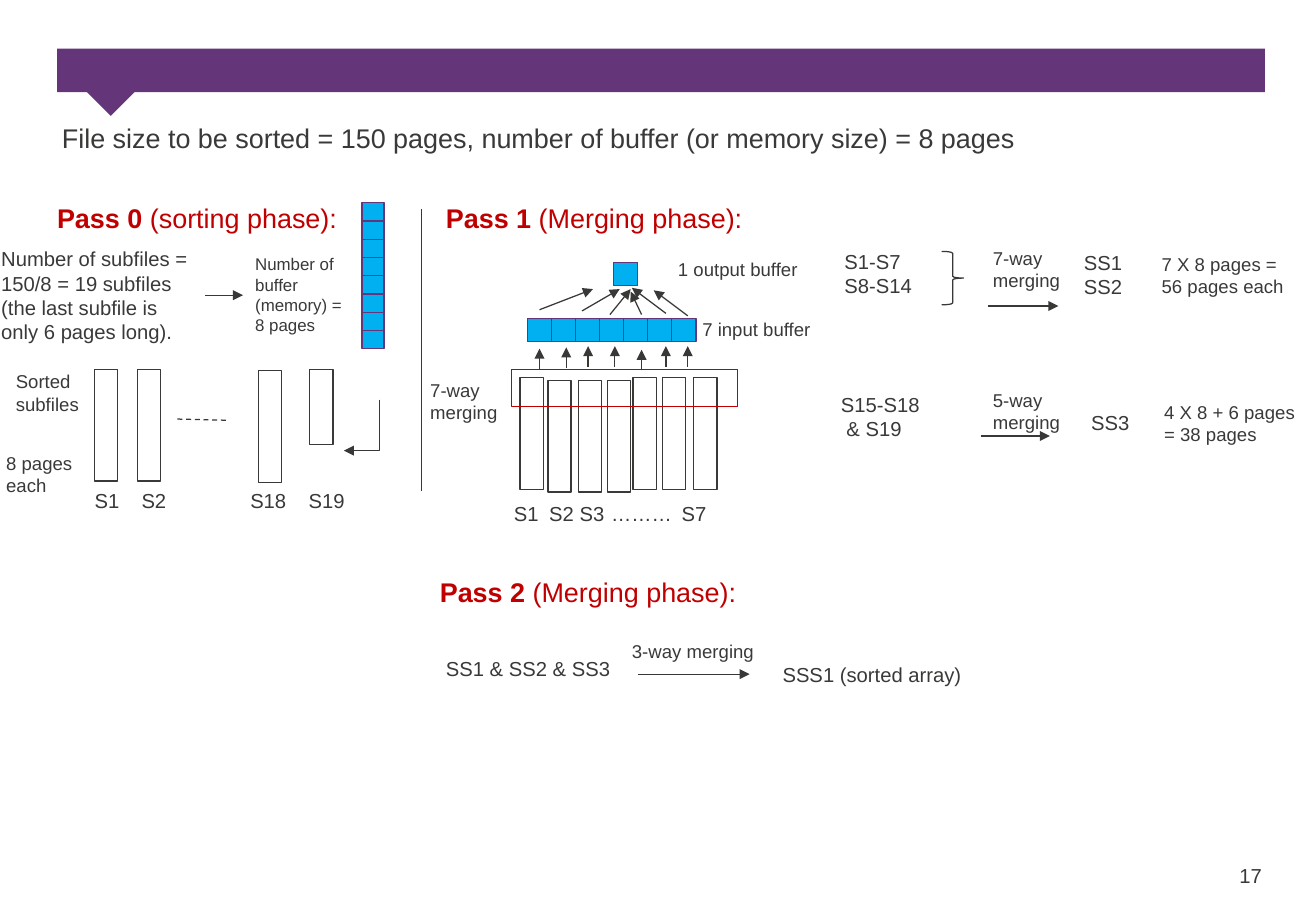
import pptx
import pptx.util
import pptx.dml.color
import pptx.enum.dml
import pptx.enum.shapes
import pptx.oxml.ns
from lxml import etree

CELL = pptx.util.Inches(0.1)
COLUMNS, ROWS = 108.3, 75
PURPLE, BLUE, WHITE = "653579", "00B0F0", "FFFFFF"
RED, INK, LINE = "C00000", "393938", "383837"
SHAPES = pptx.enum.shapes.MSO_SHAPE

LABELS = [
    (0.1, 20.3, 15.8, 12, ["Number of subfiles = 150/8 = 19 subfiles (the last subfile is only 6 pages long)."]),
    (21, 20.9, 7.5, 10, ["Number of buffer (memory) = 8 pages"]),
    (1.3, 30.5, 5.5, 11, ["Sorted subfiles"]),
    (0.5, 37.2, 6.5, 11, ["8 pages each"]),
    (55.8, 21.2, 12, 11, ["1 output buffer"]),
    (57.8, 26.2, 12, 11, ["7 input buffer"]),
    (35.4, 31.2, 6.5, 11, ["7-way merging"]),
    (69.5, 20.5, 8, 12, ["S1-S7", "S8-S14"]),
    (81.7, 20.3, 6.5, 11, ["7-way merging"]),
    (89.2, 20.6, 6, 12, ["SS1", "SS2"]),
    (95.6, 20.8, 10.4, 11, ["7 X 8 pages = 56 pages each"]),
    (69.2, 32.3, 10, 12, ["S15-S18", " & S19"]),
    (81.7, 32, 9.1, 11, ["5-way merging"]),
    (89.8, 33.8, 5, 12, ["SS3"]),
    (95.8, 33, 11.5, 11, ["4 X 8 + 6 pages = 38 pages"]),
    (36.7, 54, 15.6, 12, ["SS1 & SS2 & SS3"]),
    (52, 52.7, 10.9, 11, ["3-way merging"]),
    (64.4, 54.5, 18.6, 12, ["SSS1 (sorted array)"]),
    (5.1, 10, 89.2, 16, ["File size to be sorted = 150 pages, number of buffer (or memory size) = 8 pages"]),
    (102, 71.1, 3, 12, ["17"]),
]
HEADINGS = [
    (4.7, 16.6, "Pass 0", " (sorting phase):"),
    (36.7, 16.6, "Pass 1", " (Merging phase):"),
    (36.2, 47.4, "Pass 2", " (Merging phase):"),
]
SUBFILES = [
    (7.8, 30.4, 9.2), (11.3, 30.4, 9.2), (21.3, 30.5, 9.2), (25.5, 30.4, 6.2),
    (42.8, 31.1, 9.2), (45.1, 31.3, 9.2), (47.6, 31.3, 9.2), (50, 31.3, 9.2),
    (52.1, 31.1, 9.2), (54.5, 31.1, 9.2), (57.1, 31.1, 9.2),
]
INTO_INPUT = [(44.4, 30.4), (46.6, 30.3), (48.4, 30.2), (50.6, 30.2),
              (52.8, 30.5), (54.8, 30.2), (56.6, 30.2)]
INTO_OUTPUT = [
    (44.4, 25.5, 48.8, 23.8), (47.9, 25.6, 51, 23.8), (50.2, 25.9, 51.9, 23.8),
    (52.8, 25.9, 51.9, 24), (54.8, 25.8, 52, 23.7), (56.6, 26, 53.8, 23.9),
]
STEP_ARROWS = [
    (16.9, 24.3, 20, 24.3), (81.3, 25.2, 87.1, 25.2),
    (80.7, 35.9, 86.4, 35.9), (52.5, 55.5, 61.7, 55.5),
]


def cells(*counts):
    return [round(count * CELL) for count in counts]


def colour(value):
    return pptx.dml.color.RGBColor.from_string(value)


def add_text(page, left, top, width, spans, size=12, ink=INK, stops=()):
    lines = len(spans)
    box = page.shapes.add_textbox(*cells(left, top, width, lines * size / 6))
    frame = box.text_frame
    frame.word_wrap = True
    frame.margin_left = frame.margin_right = 0
    frame.margin_top = frame.margin_bottom = 0
    for index, line in enumerate(spans):
        para = frame.add_paragraph() if index else frame.paragraphs[0]
        if stops:
            properties = para._p.get_or_add_pPr()
            tabs = etree.SubElement(properties, pptx.oxml.ns.qn("a:tabLst"))
            for stop in cells(*stops):
                etree.SubElement(tabs, pptx.oxml.ns.qn("a:tab"), pos=str(stop), algn="l")
        for words, bold in line:
            span = para.add_run()
            span.text = words
            span.font.name = "Arial"
            span.font.size = pptx.util.Pt(size)
            span.font.bold = bold
            span.font.color.rgb = colour(ink)


def add_block(page, left, top, width, height, fill=None, line=None, kind=SHAPES.RECTANGLE):
    block = page.shapes.add_shape(kind, *cells(left, top, width, height))
    block.shadow.inherit = False
    if fill:
        block.fill.solid()
        block.fill.fore_color.rgb = colour(fill)
    else:
        block.fill.background()
    if line:
        block.line.color.rgb = colour(line)
        block.line.width = pptx.util.Pt(0.75)
    else:
        block.line.fill.background()
    return block


def style_stroke(stroke, arrow, dashed=False):
    stroke.line.color.rgb = colour(LINE)
    stroke.line.width = pptx.util.Pt(0.75)
    if dashed:
        stroke.line.dash_style = pptx.enum.dml.MSO_LINE.DASH
    if arrow:
        outline = stroke.line._get_or_add_ln()
        etree.SubElement(outline, pptx.oxml.ns.qn("a:tailEnd"), type="triangle")


def add_line(page, *ends, arrow=True, dashed=False):
    straight = pptx.enum.shapes.MSO_CONNECTOR.STRAIGHT
    stroke = page.shapes.add_connector(straight, *cells(*ends))
    style_stroke(stroke, arrow, dashed)
    etree.SubElement(stroke._element.spPr, pptx.oxml.ns.qn("a:effectLst"))


def add_bent_arrow(page, start, *corners):
    builder = page.shapes.build_freeform(*cells(*start))
    builder.add_line_segments([cells(*corner) for corner in corners], close=False)
    stroke = builder.convert_to_shape()
    stroke.fill.background()
    style_stroke(stroke, arrow=True)
    stroke.shadow.inherit = False


def add_banner(page):
    add_block(page, 4.7, 4, 99.4, 3.6, fill=PURPLE)
    pointer = add_block(page, 7.8, 5, 3.2, 4, fill=PURPLE)
    pointer.rotation = 45


def add_buffers(page):
    for slot in range(8):
        add_block(page, 29.8, 16.7 + 1.5 * slot, 1.8, 1.5, BLUE, PURPLE)
    for slot in range(7):
        add_block(page, 43.4 + 1.98 * slot, 26.2, 2, 1.9, BLUE, PURPLE)
    add_block(page, 50.5, 21.6, 2, 1.9, BLUE, PURPLE)


def add_lines(page):
    for ends in INTO_OUTPUT + STEP_ARROWS:
        add_line(page, *ends)
    for column, row in INTO_INPUT:
        add_line(page, column, row, column, row - 1.7)
    add_line(page, 14.6, 34.5, 18.7, 34.6, arrow=False, dashed=True)
    add_line(page, 34.7, 17.2, 34.7, 40.4, arrow=False)
    add_bent_arrow(page, (31.2, 32.9), (31.2, 37.1), (28.3, 37.1))


def add_words(page):
    for left, top, width, size, lines in LABELS:
        add_text(page, left, top, width, [[(line, False)] for line in lines], size=size)
    for left, top, name, phase in HEADINGS:
        add_text(page, left, top, 26, [[(name, True), (phase, False)]], size=16, ink=RED)
    add_text(page, 7.8, 40.2, 22.3, [[("S1\tS2\tS18\tS19", False)]], stops=(3.85, 12.8, 17.6))
    add_text(page, 42.3, 41.3, 22.3, [[("S1\tS2\tS3\t………\tS7", False)]],
             stops=(2.9, 5.4, 8, 13.8))


def main():
    deck = pptx.Presentation()
    deck.slide_width, deck.slide_height = cells(COLUMNS, ROWS)
    page = deck.slides.add_slide(deck.slide_layouts[6])
    add_banner(page)
    add_buffers(page)
    add_lines(page)
    for left, top, height in SUBFILES:
        add_block(page, left, top, 1.9, height, WHITE, INK)
    add_block(page, 42.1, 30.4, 18.6, 3.1, line=RED)
    add_block(page, 77.5, 20.7, 1.8, 4.4, line=LINE, kind=SHAPES.RIGHT_BRACE)
    add_words(page)
    deck.save("out.pptx")


if __name__ == "__main__":
    main()
